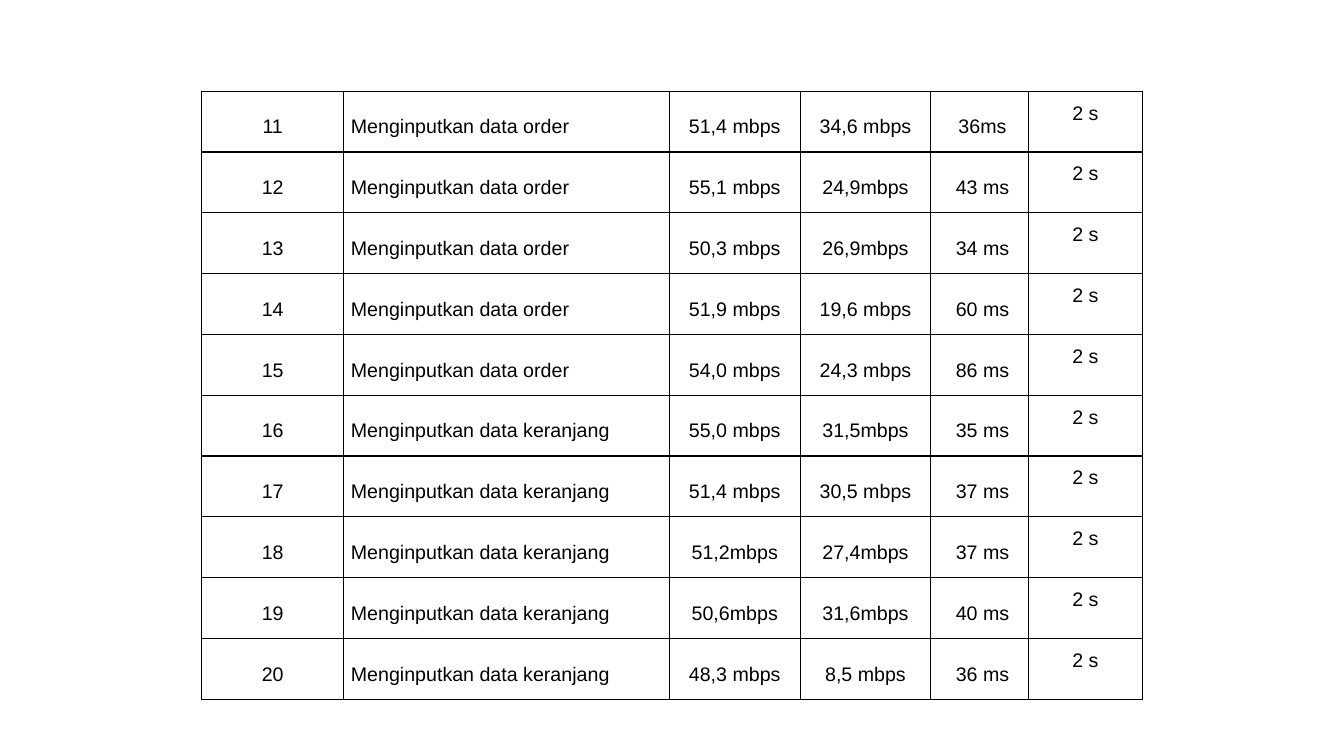
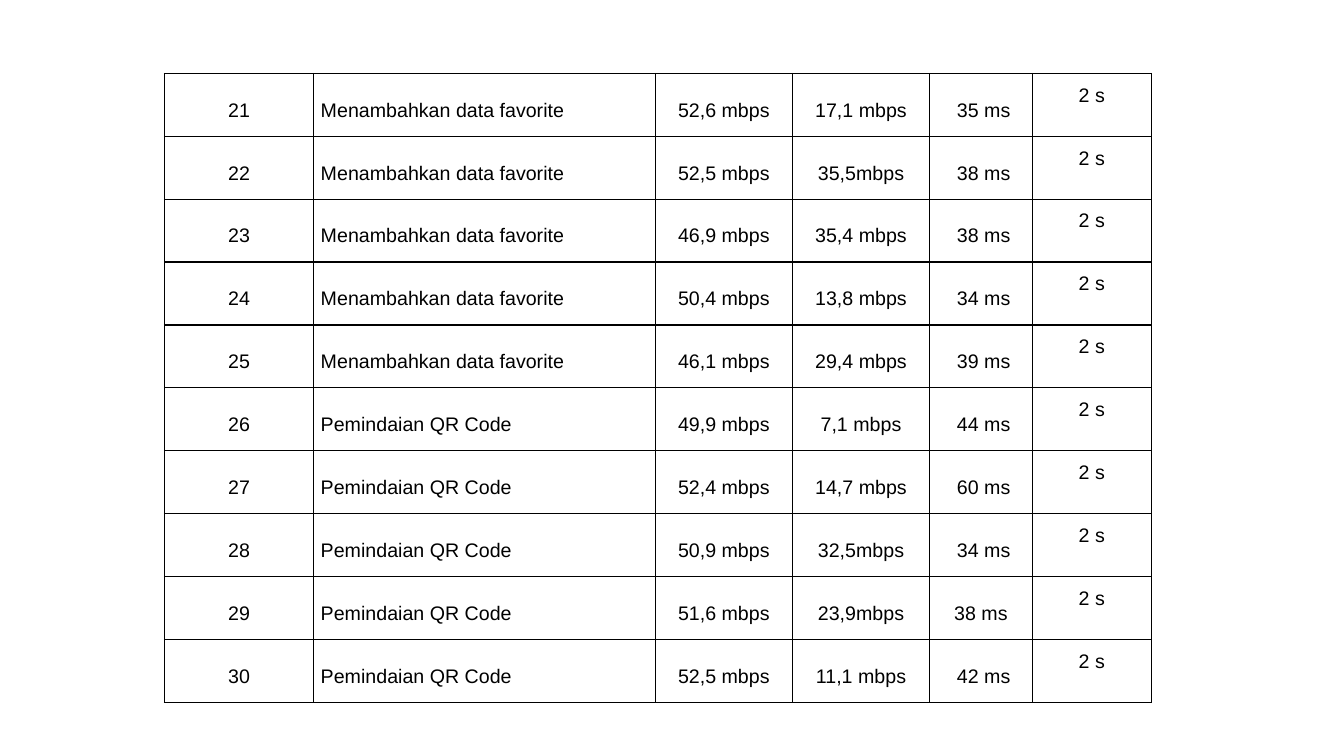
from lxml import etree
from pptx import Presentation
from pptx.dml.color import RGBColor
from pptx.enum import text
from pptx.oxml import ns
from pptx.util import Pt

BLACK = "000000"
FONT, SIZE, LINE_SPACING = "Arial", 14, 1.5
SIDE_INSET = 5.04
COLUMN_SHARES = (101.6, 232.6, 93.4, 93.4, 69.9, 81.1)
TASK_COLUMN, DURATION_COLUMN = 1, 5
DURATION = "2 s"

# Each table: place, first row number, and groups of (task, [(download, upload, ping)])
TABLES = [
    dict(left=144, top=65.2, width=672, row_height=43.43, first=11, groups=[
        ("Menginputkan data order", [
            ("51,4 mbps", "34,6 mbps", " 36ms"),
            ("55,1 mbps", "24,9mbps", " 43 ms"),
            ("50,3 mbps", "26,9mbps", " 34 ms"),
            ("51,9 mbps", "19,6 mbps", " 60 ms"),
            ("54,0 mbps", "24,3 mbps", " 86 ms"),
        ]),
        ("Menginputkan data keranjang", [
            ("55,0 mbps", "31,5mbps", " 35 ms"),
            ("51,4 mbps", "30,5 mbps", " 37 ms"),
            ("51,2mbps", "27,4mbps", " 37 ms"),
            ("50,6mbps", "31,6mbps", " 40 ms"),
            ("48,3 mbps", "8,5 mbps", " 36 ms"),
        ]),
    ]),
    dict(left=117.5, top=52.4, width=705, row_height=44.93, first=21, groups=[
        ("Menambahkan data favorite", [
            ("52,6 mbps", "17,1 mbps", " 35 ms"),
            ("52,5 mbps", "35,5mbps", " 38 ms"),
            ("46,9 mbps", "35,4 mbps", " 38 ms"),
            ("50,4 mbps", "13,8 mbps", " 34 ms"),
            ("46,1 mbps", "29,4 mbps", " 39 ms"),
        ]),
        ("Pemindaian QR Code", [
            ("49,9 mbps", "7,1 mbps", " 44 ms"),
            ("52,4 mbps", "14,7 mbps", " 60 ms"),
            ("50,9 mbps", "32,5mbps", " 34 ms"),
            ("51,6 mbps", "23,9mbps", "38 ms"),
            ("52,5 mbps", "11,1 mbps", " 42 ms"),
        ]),
    ]),
]


def rgb(color):
    return RGBColor.from_string(color)


def add_borders(cell, color=BLACK, width=1):
    tc_pr = cell._tc.get_or_add_tcPr()
    for side in ("lnL", "lnR", "lnT", "lnB"):
        ln = etree.SubElement(tc_pr, ns.qn("a:" + side), w=str(Pt(width)))
        fill = etree.SubElement(ln, ns.qn("a:solidFill"))
        etree.SubElement(fill, ns.qn("a:srgbClr"), val=color)


def write_cell(cell, content, align=text.PP_ALIGN.CENTER,
               anchor=text.MSO_ANCHOR.MIDDLE, color=BLACK):
    add_borders(cell)
    cell.fill.background()
    cell.margin_left = cell.margin_right = Pt(SIDE_INSET)
    cell.margin_top = cell.margin_bottom = Pt(0)
    cell.vertical_anchor = anchor
    p = cell.text_frame.paragraphs[0]
    p.alignment, p.line_spacing = align, LINE_SPACING
    r = p.add_run()
    r.text = content
    r.font.name, r.font.size = FONT, Pt(SIZE)
    r.font.color.rgb = rgb(color)


def add_results_table(s, left, top, width, row_height, first, groups):
    measures = [(task, *values) for task, rows in groups for values in rows]
    rows = [(str(n), *m, DURATION) for n, m in enumerate(measures, first)]
    table = s.shapes.add_table(
        len(rows), len(COLUMN_SHARES), Pt(left), Pt(top),
        Pt(width), Pt(row_height * len(rows))).table
    table.first_row = table.horz_banding = False
    for column, share in zip(table.columns, COLUMN_SHARES):
        column.width = Pt(width * share / sum(COLUMN_SHARES))
    formats = {TASK_COLUMN: dict(align=text.PP_ALIGN.LEFT),
               DURATION_COLUMN: dict(anchor=text.MSO_ANCHOR.TOP)}
    for i, row in enumerate(rows):
        table.rows[i].height = Pt(row_height)
        for j, content in enumerate(row):
            write_cell(table.cell(i, j), content, **formats.get(j, {}))


def main():
    prs = Presentation()
    prs.slide_width, prs.slide_height = Pt(960), Pt(540)
    for results in TABLES:
        s = prs.slides.add_slide(prs.slide_layouts[6])
        add_results_table(s, **results)
    prs.save("out.pptx")


if __name__ == "__main__":
    main()
